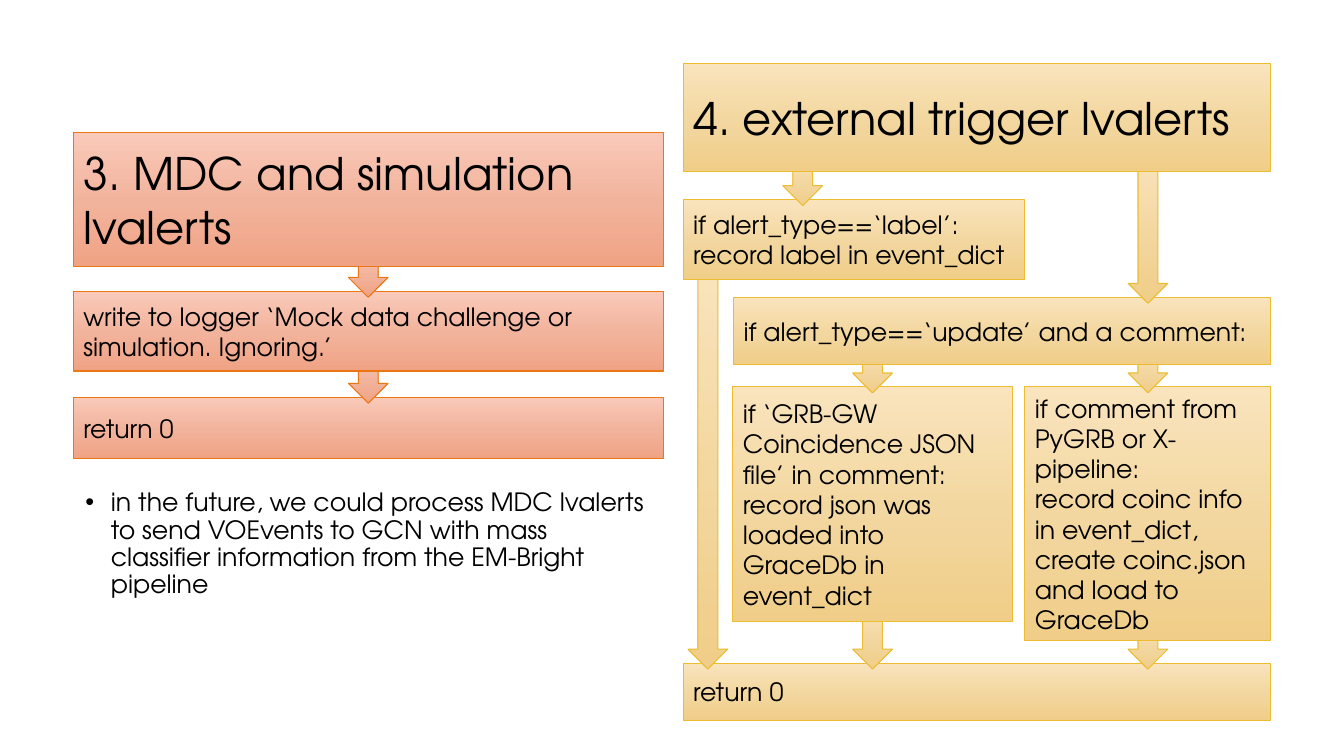
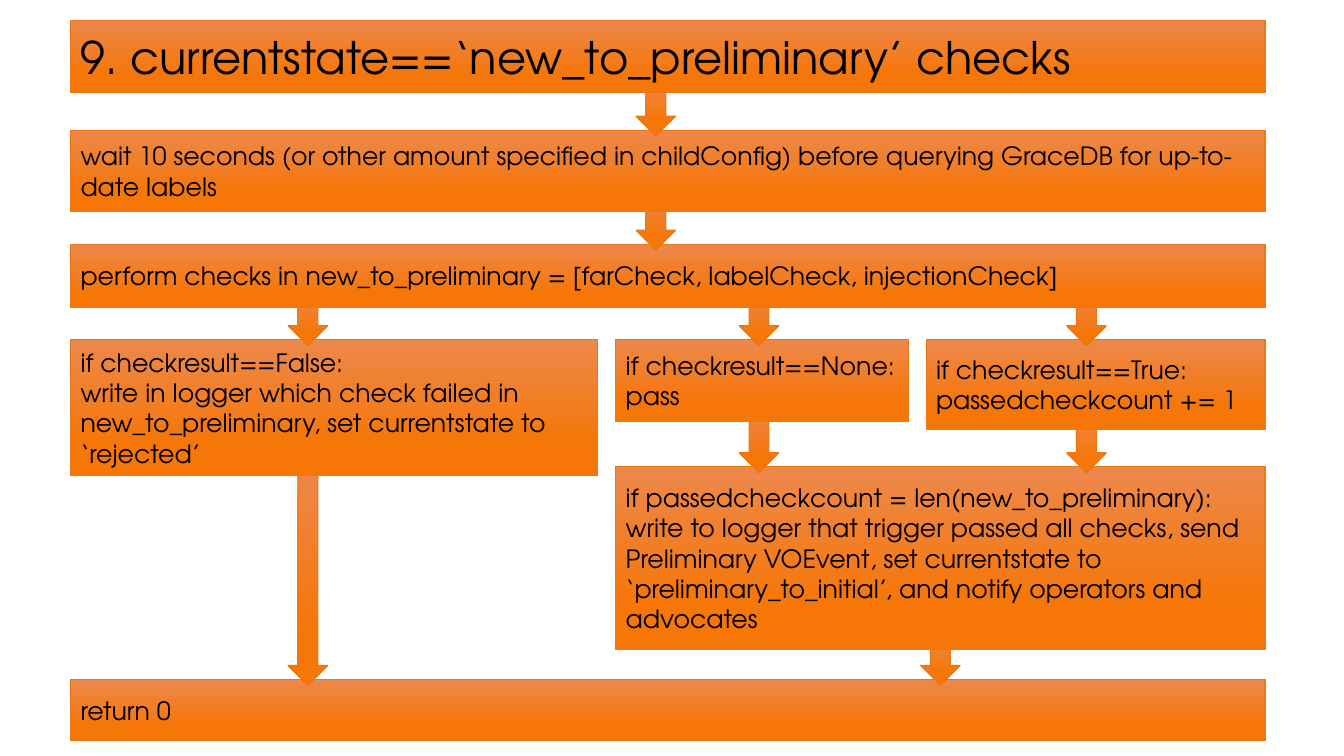
"""Build two slides of alert handling flow charts."""
from copy import deepcopy
from dataclasses import dataclass

from pptx import Presentation
from pptx.dml.color import RGBColor
from pptx.enum.shapes import MSO_SHAPE
from pptx.enum.text import MSO_ANCHOR, MSO_AUTO_SIZE, PP_ALIGN
from pptx.oxml.ns import qn
from pptx.util import Cm, Pt

STEP = MSO_SHAPE.FLOWCHART_PROCESS
ARROW = MSO_SHAPE.DOWN_ARROW
LEFT = PP_ALIGN.LEFT
MIDDLE = MSO_ANCHOR.MIDDLE
FIXED = MSO_AUTO_SIZE.NONE


@dataclass(frozen=True)
class Paint:
    """Gradient stops and line colour of one flow."""
    stops: tuple
    line: str


@dataclass(frozen=True)
class Theme:
    """Fonts, sizes, colours and arrow measures."""
    font: str = "TeX Gyre Adventor"
    ink: str = "000000"
    head: int = 32
    body: int = 18
    edge: float = 0.75
    shaft: float = 1.0
    tuck: float = 0.4
    tip: float = 0.15
    rose: Paint = Paint(((0, "F9CABA"), (0.52, "F2B39C"), (1, "F0A384")), "EB7712")
    gold: Paint = Paint(((0, "F9E4BD"), (0.52, "F3D7A0"), (1, "F0CE89")), "ECBD31")
    flame: Paint = Paint(((0, "ED884B"), (0.78, "F67607")), "EB7712")


@dataclass(frozen=True)
class Box:
    """A rectangle in centimetres."""
    x: float
    y: float
    w: float
    h: float

    def inset(self, x, y, w, h):
        """Return a box placed relative to this one."""
        return Box(self.x + x, self.y + y, w, h)


THEME = Theme()


def move(shape, box):
    """Set the place and size of a shape."""
    shape.left, shape.top = Cm(box.x), Cm(box.y)
    shape.width, shape.height = Cm(box.w), Cm(box.h)


def coat(shape, paint):
    """Give a shape its gradient and outline."""
    shape.shadow.inherit = False
    fill = shape.fill
    fill.gradient()
    fill.gradient_angle = 270
    stops = next(shape.element.iter(qn("a:gsLst")))
    while len(stops) < len(paint.stops):
        stops.append(deepcopy(stops[-1]))
    for stop, (pos, tone) in zip(fill.gradient_stops, paint.stops):
        stop.position = pos
        stop.color.rgb = RGBColor.from_string(tone)
    shape.line.color.rgb = RGBColor.from_string(paint.line)
    shape.line.width = Pt(THEME.edge)


def write(shape, text, size):
    """Write left-aligned text in the theme font."""
    frame = shape.text_frame
    frame.text = text
    frame.word_wrap = True
    frame.auto_size = FIXED
    for para in frame.paragraphs:
        para.alignment = LEFT
        para.font.name = THEME.font
        para.font.size = Pt(size)
        para.font.color.rgb = RGBColor.from_string(THEME.ink)


def add(slide, kind, box, paint):
    """Add a painted preset shape."""
    shape = slide.shapes.add_shape(kind, *map(Cm, (box.x, box.y, box.w, box.h)))
    coat(shape, paint)
    return shape


def join(slide, start, end, mid, paint):
    """Add an arrow from one step down to another."""
    top = start.y + start.h - THEME.tuck
    tall = end.y + THEME.tip - top
    add(slide, ARROW, Box(mid - THEME.shaft / 2, top, THEME.shaft, tall), paint)


def flow(slide, area, paint, steps, links, title=None):
    """Draw steps from last to first, each with the arrows that reach it."""
    boxes = [area.inset(*place) for _, place in steps]
    for num in reversed(range(len(steps))):
        if num == 0 and title is not None:
            shape = title
            move(shape, boxes[0])
            coat(shape, paint)
            shape.element.getparent().append(shape.element)
        else:
            shape = add(slide, STEP, boxes[num], paint)
        write(shape, steps[num][0], THEME.body if num else THEME.head)
        shape.text_frame.vertical_anchor = MIDDLE
        for start, end, mid in links:
            if end == num:
                join(slide, boxes[start], boxes[end], area.x + mid, paint)


def note(shape, box, text):
    """Place the bulleted remark."""
    move(shape, box)
    write(shape, text, THEME.body)
    para = shape.text_frame.paragraphs[0]
    para.line_spacing = 0.9
    para.space_before = Pt(10)
    props = para._p.get_or_add_pPr()
    props.set("marL", str(Cm(0.64)))
    props.set("indent", str(-Cm(0.64)))


def mock(slide, area):
    """Draw the flow for simulated alerts with its remark."""
    steps = [
        ("3. MDC and simulation lvalerts", (0, 0, area.w, 3.38)),
        ("write to logger ‘Mock data challenge or simulation. Ignoring.’",
         (0, 4.01, area.w, 2.01)),
        ("return 0", (0, 6.68, area.w, 1.55)),
    ]
    mid = area.w / 2
    flow(slide, area, THEME.rose, steps, [(0, 1, mid), (1, 2, mid)],
         slide.shapes.title)
    note(slide.placeholders[1], area.inset(0.05, 8.89, 14.81, 4.62),
         "in the future, we could process MDC lvalerts to send VOEvents to GCN "
         "with mass classifier information from the EM-Bright pipeline")


def outer(slide, area):
    """Draw the flow for external triggers."""
    steps = [
        ("4. external trigger lvalerts", (0, 0, area.w, 2.72)),
        ("if alert_type==‘label’: record label in event_dict",
         (0, 3.43, 8.61, 2.01)),
        ("if alert_type==‘update’ and a comment:",
         (1.27, 5.89, area.w - 1.27, 1.7)),
        ("if ‘GRB-GW Coincidence JSON file’ in comment:\n"
         "record json was loaded into GraceDb in event_dict",
         (1.25, 8.15, 7.04, 5.92)),
        ("if comment from PyGRB or X-pipeline:\n"
         "record coinc info in event_dict, create coinc.json and load to GraceDb",
         (8.61, 8.15, area.w - 8.61, 6.4)),
        ("return 0", (0, 15.11, area.w, 1.45)),
    ]
    near, far = 4.77, 11.71
    links = [(0, 1, 3.01), (0, 2, far), (1, 5, 0.62), (2, 3, near),
             (2, 4, far), (3, 5, near), (4, 5, far)]
    flow(slide, area, THEME.gold, steps, links)


def checks(slide, area):
    """Draw the flow of checks on a new trigger."""
    row, col = 8.05, 13.74
    steps = [
        ("9. currentstate==‘new_to_preliminary’ checks", (0, 0, area.w, 1.83)),
        ("wait 10 seconds (or other amount specified in childConfig) before "
         "querying GraceDB for up-to-date labels", (0, 2.77, area.w, 2.06)),
        ("perform checks in new_to_preliminary = "
         "[farCheck, labelCheck, injectionCheck]", (0, 5.64, area.w, 1.6)),
        ("if checkresult==False:\nwrite in logger which check failed in "
         "new_to_preliminary, set currentstate to ‘rejected’",
         (0, row, 13.28, 3.43)),
        ("if checkresult==None:\npass", (col, row, 7.37, 2.06)),
        ("if checkresult==True:\npassedcheckcount += 1",
         (21.56, row, area.w - 21.56, 2.26)),
        ("if passedcheckcount = len(new_to_preliminary):\n"
         "write to logger that trigger passed all checks, send Preliminary "
         "VOEvent, set currentstate to ‘preliminary_to_initial’, and notify "
         "operators and advocates", (col, 11.25, area.w - col, 4.6)),
        ("return 0", (0, 16.61, area.w, 1.55)),
    ]
    mid, fail, none, true = 14.75, 5.98, 17.35, 25.6
    links = [(0, 1, mid), (1, 2, mid), (2, 3, fail), (2, 4, none), (2, 5, true),
             (3, 7, fail), (4, 6, none), (5, 6, true), (6, 7, 21.92)]
    flow(slide, area, THEME.flame, steps, links, slide.shapes.title)


def main():
    """Build and save the deck."""
    deck = Presentation()
    deck.slide_width, deck.slide_height = Cm(33.87), Cm(19.05)
    first = deck.slides.add_slide(deck.slide_layouts[1])
    mock(first, Box(1.85, 3.33, 14.86, 13.51))
    outer(first, Box(17.22, 1.6, 14.81, 16.56))
    last = deck.slides.add_slide(deck.slide_layouts[5])
    checks(last, Box(1.78, 0.51, 30.1, 18.16))
    deck.save("out.pptx")


main()
